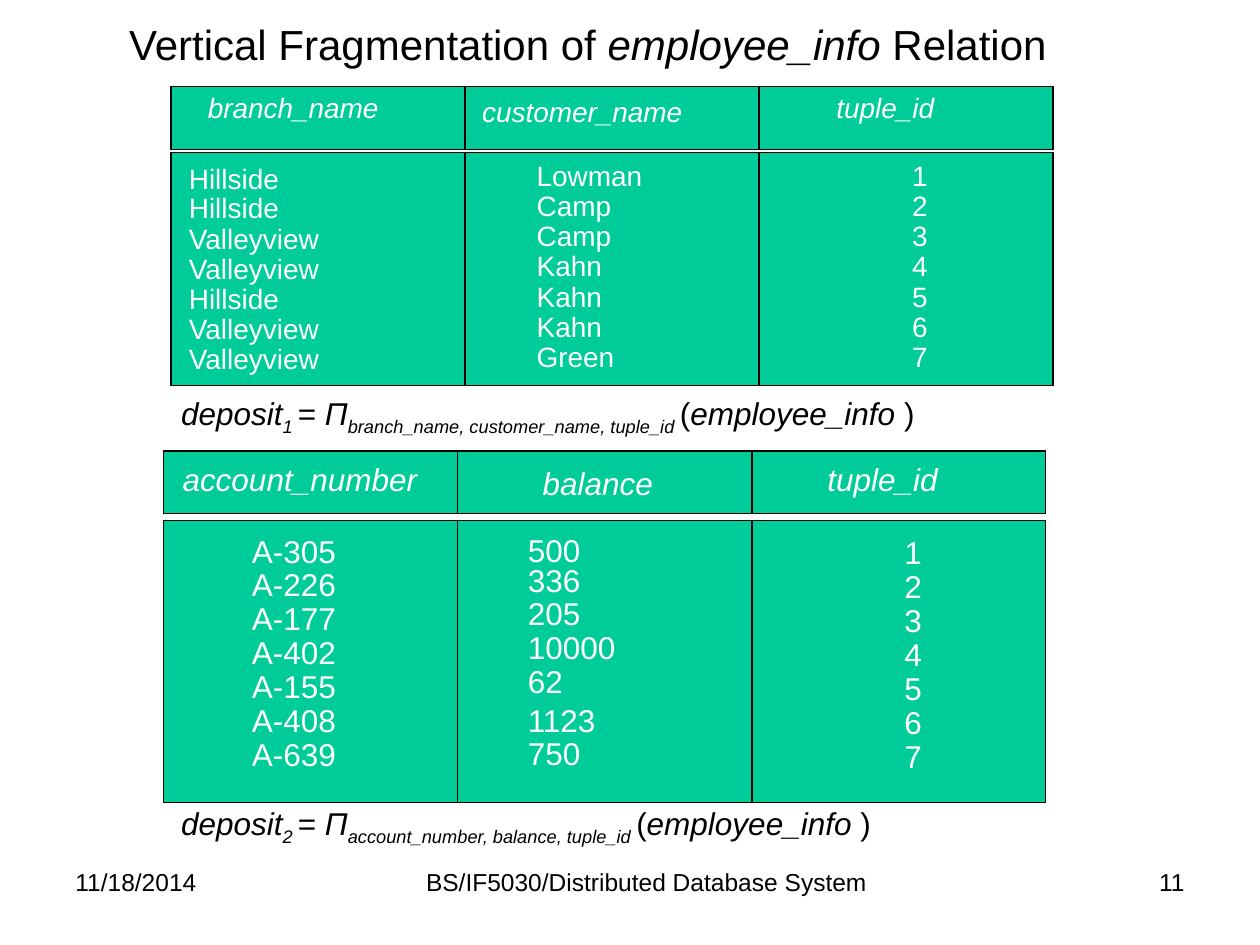
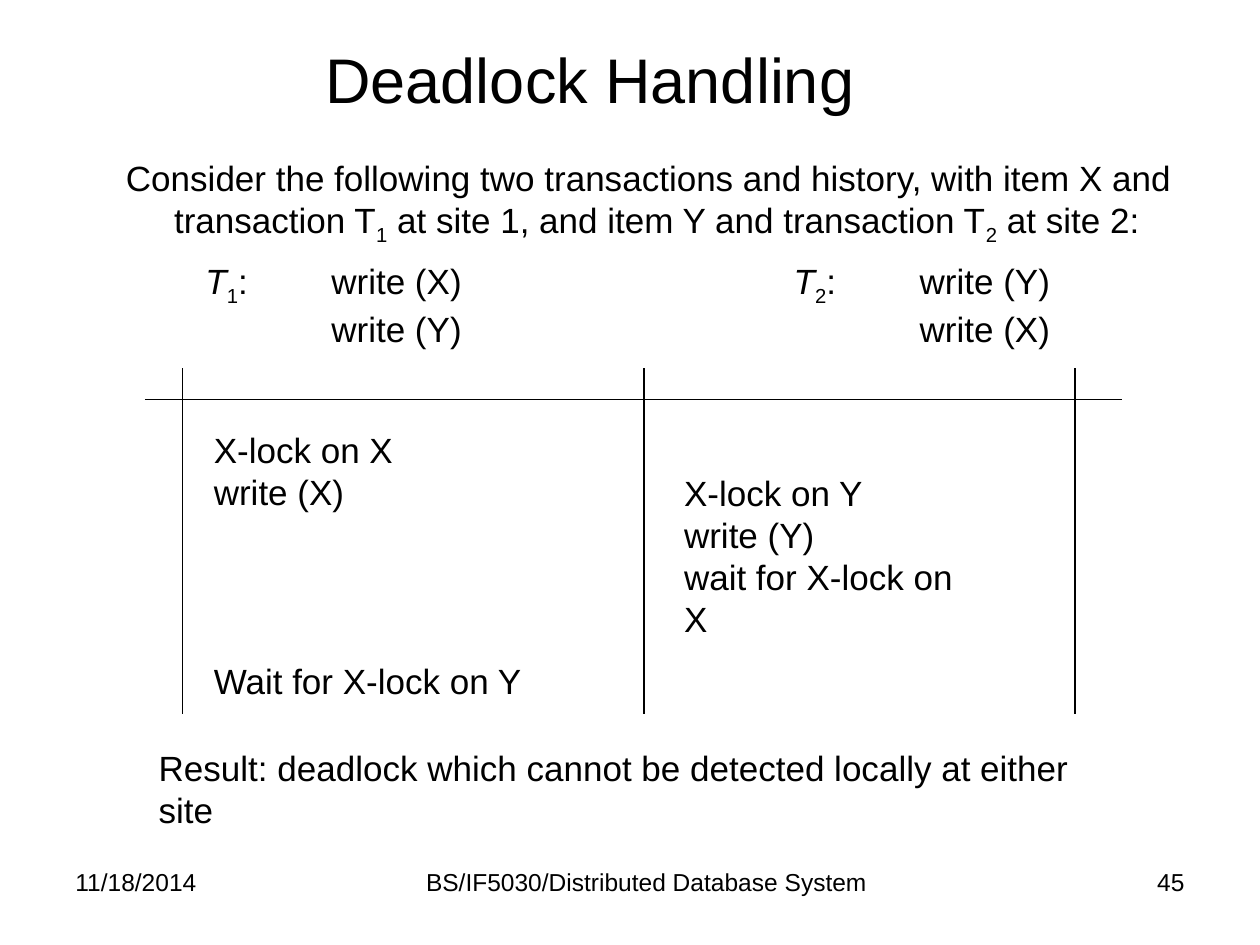
import pptx
import pptx.util
import pptx.dml.color
import pptx.enum.shapes
import pptx.enum.text
from lxml import etree

Cm = pptx.util.Cm
FONT = "Arial"
BLACK, WHITE, GREEN = "000000", "FFFFFF", "00CC99"
LEFT, CENTER, RIGHT = (pptx.enum.text.PP_ALIGN.LEFT, pptx.enum.text.PP_ALIGN.CENTER,
                       pptx.enum.text.PP_ALIGN.RIGHT)
TOP, MIDDLE = pptx.enum.text.MSO_ANCHOR.TOP, pptx.enum.text.MSO_ANCHOR.MIDDLE
DRAWING = "{http://schemas.openxmlformats.org/drawingml/2006/main}"


def colour(hex_value):
    return pptx.dml.color.RGBColor.from_string(hex_value)


def write(box, text, size=20, color=BLACK, align=LEFT, anchor=TOP, italic=False,
          spacing=(), hang=0, tab=0):
    """Each line is a string or a list of (text, marks): i is italic, _ is subscript."""
    frame = box.text_frame
    frame.word_wrap = True
    frame.auto_size = pptx.enum.text.MSO_AUTO_SIZE.NONE
    frame.vertical_anchor = anchor
    frame.margin_left = frame.margin_right = Cm(0.25)
    frame.margin_top = frame.margin_bottom = Cm(0.13)
    for index, line in enumerate([text] if isinstance(text, str) else text):
        para = frame.add_paragraph() if index else frame.paragraphs[0]
        para.alignment = align
        para.line_spacing = spacing[index] if spacing else 1.0
        props = para._p.get_or_add_pPr()
        if hang:
            props.set("marL", str(Cm(hang)))
            props.set("indent", str(-Cm(hang)))
        if tab:
            stops = etree.SubElement(props, DRAWING + "tabLst")
            etree.SubElement(stops, DRAWING + "tab", pos=str(Cm(tab)), algn="l")
        for words, marks in [(line, "")] if isinstance(line, str) else line:
            span = para.add_run()
            span.text = words
            span.font.name = FONT
            span.font.size = pptx.util.Pt(size)
            span.font.color.rgb = colour(color)
            span.font.italic = italic or "i" in marks
            if "_" in marks:
                span._r.get_or_add_rPr().set("baseline", "-25000")


deck = pptx.Presentation()
deck.slide_width, deck.slide_height = Cm(25.4), Cm(19.05)

# Pages and their titles
titles = [
    ([[("Vertical Fragmentation of ", ""), ("employee_info ", "i"), ("Relation", "")]],
     24, 0.9, (0.46, 0.2, 22.78, 1.47)),
    ("Deadlock Handling", 36, 1.0, (0.46, 0, 22.86, 3.17)),
]
pages = []
for text, size, spacing, place in titles:
    page = deck.slides.add_slide(deck.slide_layouts[5])
    title = page.shapes.title
    title.left, title.top, title.width, title.height = map(Cm, place)
    write(title, text, size=size, align=CENTER, anchor=MIDDLE, spacing=[spacing])
    pages.append(page)
fragments, deadlock = pages

# Fragments: two grids of three columns, each with a head and a body cell
COLUMN_WIDTH, COLUMN_PITCH = 5.92, 5.93
HEAD_HEIGHT = 1.27
EVEN = [1.0] + [0.9] * 6
UNEVEN = [1.1, 0.8, 0.9, 0.9, 0.9, 1.0, 0.9]
tuple_ids = "1 2 3 4 5 6 7"
# Grid: left, head top, body top, body height, text size, columns
# Column: head, head place, values, values place, line spacing
grids = [
    (3.45, 1.75, 3.07, 4.7, 16, [
        ("branch_name", (3.94, 1.7),
         "Hillside Hillside Valleyview Valleyview Hillside Valleyview Valleyview",
         (3.56, 3.12), EVEN),
        ("customer_name", (9.47, 1.78),
         "Lowman Camp Camp Kahn Kahn Kahn Green", (10.57, 3.07), EVEN),
        ("tuple_id", (16.61, 1.7), tuple_ids, (18.14, 3.07), EVEN),
    ]),
    (3.3, 9.09, 10.49, 5.69, 18, [
        ("account_number", (3.43, 9.14),
         "A-305 A-226 A-177 A-402 A-155 A-408 A-639", (4.83, 10.59), EVEN),
        ("balance", (10.69, 9.22),
         "500 336 205 10000 62 1123 750", (10.39, 10.49), UNEVEN),
        ("tuple_id", (16.43, 9.14), tuple_ids, (17.98, 10.62), EVEN),
    ]),
]
for left, head_top, body_top, body_height, size, columns in grids:
    for number, (head, head_at, values, values_at, spacing) in enumerate(columns):
        for top, height in [(head_top, HEAD_HEIGHT), (body_top, body_height)]:
            cell = fragments.shapes.add_shape(
                pptx.enum.shapes.MSO_SHAPE.RECTANGLE, Cm(left + number * COLUMN_PITCH),
                Cm(top), Cm(COLUMN_WIDTH), Cm(height))
            cell.shadow.inherit = False
            cell.fill.solid()
            cell.fill.fore_color.rgb = colour(GREEN)
            cell.line.color.rgb = colour(BLACK)
            cell.line.width = pptx.util.Pt(0.75)
        right = left + number * COLUMN_PITCH + COLUMN_WIDTH
        for text, (x, y), height, italic, lines in [
                (head, head_at, 1.0, True, [1.0]),
                (values.split(), values_at, size * 0.29, False, spacing)]:
            box = fragments.shapes.add_textbox(Cm(x), Cm(y), Cm(right - x), Cm(height))
            write(box, text, size=size, color=WHITE, italic=italic, spacing=lines)

# Fragments: the projection under each grid
for number, attributes, top in [
        ("1 ", "branch_name, customer_name, tuple_id ", 7.82),
        ("2 ", "account_number, balance, tuple_id ", 16.08)]:
    box = fragments.shapes.add_textbox(Cm(3.4), Cm(top), Cm(19.5), Cm(1.02))
    write(box, [[("deposit", "i"), (number, "i_"), ("= ", ""), ("Π", "i"),
                 (attributes, "i_"), ("(", ""), ("employee_info ", "i"), (")", "")]],
          size=18)

# Deadlock: introduction, transactions, history and result
deadlock_texts = [
    ((2.29, 3.02, 22, 2.13), {"hang": 0.97}, [[
        ("Consider the following two transactions and history, "
         "with item X and transaction T", ""), ("1", "_"),
        (" at site 1, and item Y and transaction T", ""), ("2", "_"),
        (" at site 2:", "")]]),
    ((4.06, 8.51, 4.5, 1.96), {}, ["X-lock on X", "write (X)"]),
    ((13.54, 9.37, 6.35, 3.65), {}, ["X-lock on Y", "write (Y)", "wait for X-lock on X"]),
    ((4.06, 13.16, 7.2, 1.09), {}, "Wait for X-lock on Y"),
    ((2.95, 14.91, 19.7, 1.95), {},
     "Result: deadlock which cannot be detected locally at either site"),
]
for left, number, first, second in [(3.89, "1", "X", "Y"), (15.75, "2", "Y", "X")]:
    deadlock_texts.append(((left, 5.11, 6.1, 1.96), {"tab": 2.54}, [
        [("T", "i"), (number, "_"), (f":\twrite ({first})", "")],
        f"\twrite ({second})"]))
for place, style, text in deadlock_texts:
    write(deadlock.shapes.add_textbox(*map(Cm, place)), text, **style)

# Deadlock: rules of the history
rules = [(x, 7.42, x, 14.4) for x in (3.68, 12.98, 21.67)] + [(2.92, 8.05, 22.61, 8.05)]
for ends in rules:
    rule = deadlock.shapes.add_connector(
        pptx.enum.shapes.MSO_CONNECTOR.STRAIGHT, *map(Cm, ends))
    rule.line.color.rgb = colour(BLACK)
    rule.line.width = pptx.util.Pt(0.75)
    etree.SubElement(rule._element.spPr, DRAWING + "effectLst")

# Footers
for page, number in zip(pages, ["11", "45"]):
    for text, left, width, align in [
            ("11/18/2014", 1.27, 5.92, LEFT),
            (number, 18.21, 5.92, RIGHT),
            ("BS/IF5030/Distributed Database System", 6.15, 13.77, CENTER)]:
        box = page.shapes.add_textbox(Cm(left), Cm(17.35), Cm(width), Cm(1.32))
        write(box, text, size=14, align=align)

deck.save("out.pptx")
